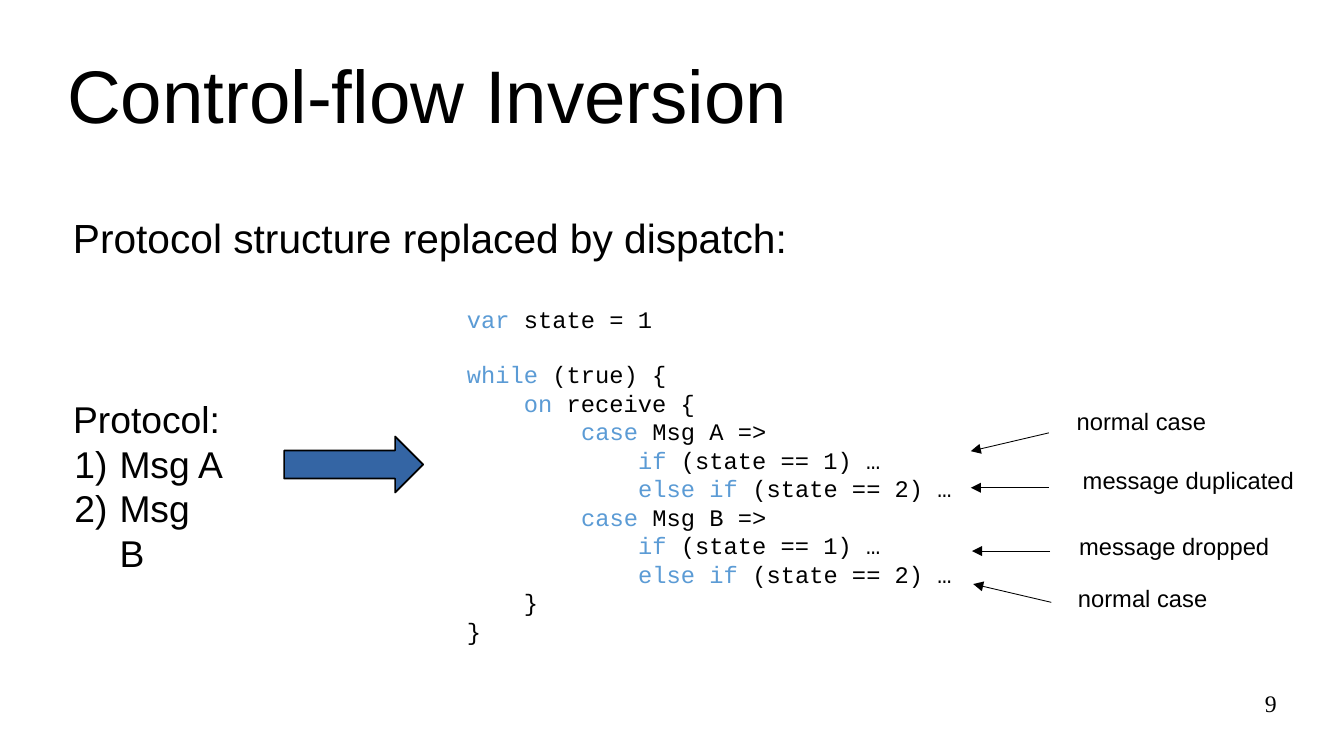
"""Build the slide on control-flow inversion."""
from dataclasses import dataclass

from lxml import etree
from pptx import Presentation
from pptx import util as u
from pptx.dml.color import RGBColor
from pptx.enum import shapes, text
from pptx.oxml import ns


@dataclass(frozen=True)
class Theme:
    """Colours, fonts, type sizes and the grid cell."""
    ink: str = "000000"
    keyword: str = "5B9BD5"
    accent: str = "3465A4"
    sans: str = "Arial"
    mono: str = "Courier New"
    serif: str = "Times New Roman"
    title: int = 44
    heading: int = 24
    body: int = 22
    small: int = 14
    cell: float = 0.1


THEME = Theme()
COLUMNS, ROWS = 110.2, 62
PADDING = (1, 0.5)

CODE = [
    (0, "var", " state = 1"),
    (0, "while", " (true) {"),
    (1, "on", " receive {"),
    (2, "case", " Msg A =>"),
    (3, "if", " (state == 1) …"),
    (3, "else if", " (state == 2) …"),
    (2, "case", " Msg B =>"),
    (3, "if", " (state == 1) …"),
    (3, "else if", " (state == 2) …"),
    (1, "", "}"),
    (0, "", "}"),
]
NOTES = [
    ("normal case", (87.3, 32.9, 13.1), (86, 35.5, 79.6, 37)),
    ("message duplicated", (87.8, 37.7, 19.3), (86, 40, 79.6, 40)),
    ("message dropped", (87.5, 43.1, 17.6), (86.1, 45.2, 79.7, 45.2)),
    ("normal case", (87.4, 47.4, 13.1), (86.2, 49.4, 79.8, 47.9)),
]


def grid(n):
    """Turn grid cells into a length."""
    return u.Inches(n * THEME.cell)


def write(p, words, font=THEME.sans, size=THEME.small, color=THEME.ink):
    """Add one formatted run to a paragraph."""
    r = p.add_run()
    r.text = words
    r.font.name, r.font.size = font, u.Pt(size)
    r.font.color.rgb = RGBColor.from_string(color)


def child(parent, tag, **attributes):
    """Append a drawing element."""
    return etree.SubElement(parent, ns.qn(tag), **attributes)


class SlideBuilder:
    """Hold the theme and the current slide."""

    def __init__(self, prs, theme):
        """Add a slide with a title and a body."""
        self.theme = theme
        self.s = prs.slides.add_slide(prs.slide_layouts[1])

    def frame(self, sp, box, wrap=True, padding=PADDING, anchor=text.MSO_ANCHOR.TOP):
        """Place a text shape and return its text frame."""
        sp.left, sp.top, sp.width, sp.height = map(grid, box)
        tf = sp.text_frame
        tf.margin_left = tf.margin_right = grid(padding[0])
        tf.margin_top = tf.margin_bottom = grid(padding[1])
        tf.word_wrap, tf.vertical_anchor = wrap, anchor
        tf.auto_size = text.MSO_AUTO_SIZE.NONE
        return tf

    def title(self, words, box):
        """Fill the title placeholder."""
        tf = self.frame(self.s.shapes.title, box, padding=(0, 0),
                        anchor=text.MSO_ANCHOR.MIDDLE)
        p = tf.paragraphs[0]
        p.alignment = text.PP_ALIGN.LEFT
        write(p, words, size=self.theme.title)

    def numbered(self, heading, items, box):
        """Fill the body placeholder with a heading and numbered items."""
        tf = self.frame(self.s.placeholders[1], box, wrap=False)
        for i, words in enumerate([heading, *items]):
            p = tf.paragraphs[0] if i == 0 else tf.add_paragraph()
            p.space_before = u.Pt(0)
            pPr = p._p.get_or_add_pPr()
            pPr.set("marL", str(grid(3.8) if i else 0))
            pPr.set("indent", str(grid(-3.7) if i else 0))
            if i:
                child(pPr, "a:buAutoNum", type="arabicParenR")
            else:
                child(pPr, "a:buNone")
            write(p, words, size=self.theme.body)

    def label(self, words, box, align=text.PP_ALIGN.LEFT, wrap=False,
              padding=PADDING, **style):
        """Add a one-line text box."""
        tf = self.frame(self.s.shapes.add_textbox(0, 0, 0, 0), box, wrap, padding)
        p = tf.paragraphs[0]
        p.alignment = align
        write(p, words, **style)

    def code(self, lines, box):
        """Add a listing with coloured keywords."""
        tf = self.frame(self.s.shapes.add_textbox(0, 0, 0, 0), box)
        for i, (depth, keyword, rest) in enumerate(lines):
            p = tf.paragraphs[0] if i == 0 else tf.add_paragraph()
            if keyword == "while":
                p.space_before = u.Pt(16)
            parts = [("    " * depth, self.theme.ink),
                     (keyword, self.theme.keyword), (rest, self.theme.ink)]
            for words, color in parts:
                if words:
                    write(p, words, font=self.theme.mono, color=color)

    def block_arrow(self, box):
        """Add a filled arrow."""
        sp = self.s.shapes.add_shape(shapes.MSO_SHAPE.RIGHT_ARROW, *map(grid, box))
        sp.shadow.inherit = False
        sp.fill.solid()
        sp.fill.fore_color.rgb = RGBColor.from_string(self.theme.accent)
        sp.line.color.rgb = RGBColor.from_string(self.theme.ink)
        sp.line.width = u.Pt(1)

    def pointer(self, ends):
        """Add a thin line with an arrowhead at its end."""
        c = self.s.shapes.add_connector(shapes.MSO_CONNECTOR.STRAIGHT, *map(grid, ends))
        c.line.color.rgb = RGBColor.from_string(self.theme.ink)
        c.line.width = u.Pt(0.5)
        child(c.line._get_or_add_ln(), "a:tailEnd", type="triangle")
        child(c._element.spPr, "a:effectLst")


def main():
    """Build and save the slide."""
    prs = Presentation()
    prs.slide_width, prs.slide_height = grid(COLUMNS), grid(ROWS)
    b = SlideBuilder(prs, THEME)
    b.title("Control-flow Inversion", (5.5, 2.5, 99.2, 10.4))
    b.label("Protocol structure replaced by dispatch:", (5, 17, 62.8, 4.7),
            wrap=True, size=THEME.heading)
    b.numbered("Protocol:", ["Msg A", "Msg B"], (5, 32, 14.4, 12))
    b.code(CODE, (37.3, 24.5, 41.8, 29))
    b.block_arrow((23.3, 35.8, 11.4, 4.6))
    for words, (left, top, width), ends in NOTES:
        b.pointer(ends)
        b.label(words, (left, top, width, 3.3))
    b.label("9", (79, 56.5, 25.7, 4.3), align=text.PP_ALIGN.RIGHT, wrap=True,
            padding=(0, 0), font=THEME.serif)
    prs.save("out.pptx")


if __name__ == "__main__":
    main()
